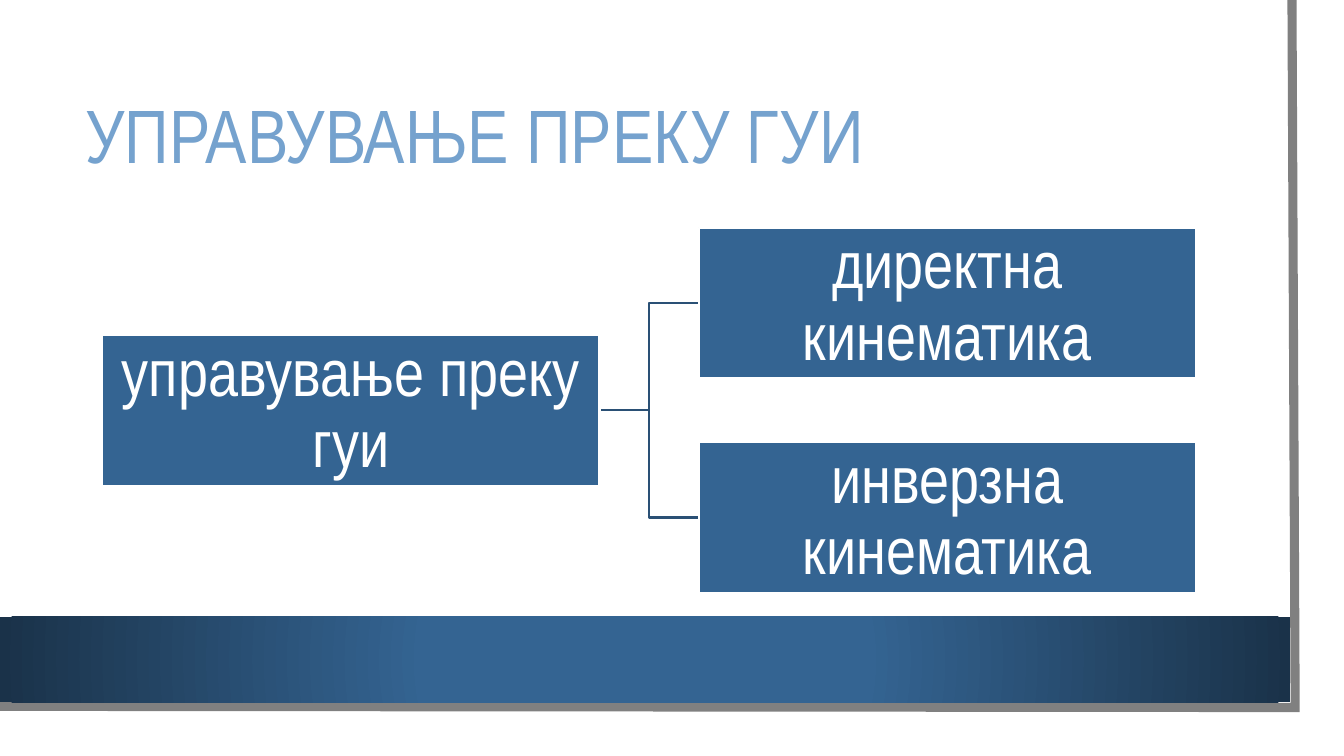
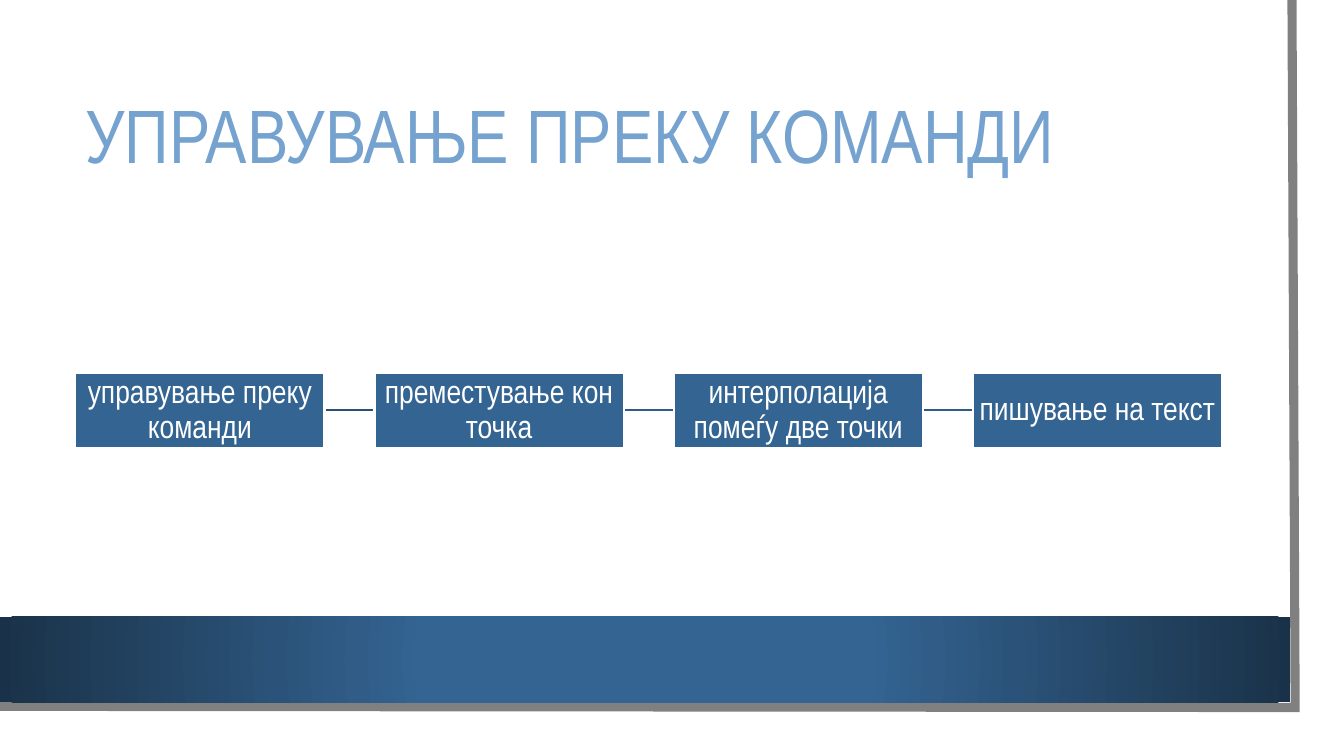
from dataclasses import dataclass

from lxml import etree
from pptx import Presentation
from pptx import util as u
from pptx.dml import color
from pptx.enum import shapes, text
from pptx.oxml import ns

FONT = "Arial Narrow"
HUES = {
    "title": "75A2CE",
    "box": "346492",
    "dark": "1A3249",
    "edge": "808080",
    "white": "FFFFFF",
    "link": "2A5075",
    "soft": "2F5B85",
}
MID = 10.34


@dataclass(frozen=True)
class Size:
    width: float
    height: float
    font: int
    inset: float


@dataclass(frozen=True)
class Box:
    label: str
    left: float
    mid: float


@dataclass(frozen=True)
class Link:
    start: Box
    end: Box
    hue: str


BIG = Size(12.53, 3.8, 47, 0.08)
SMALL = Size(6.28, 1.9, 23, 0.05)


def rgb(name: str) -> color.RGBColor:
    return color.RGBColor.from_string(HUES[name])


def style(frame, size: int, hue: str, align) -> None:
    frame.word_wrap = True
    frame.auto_size = text.MSO_AUTO_SIZE.NONE
    frame.vertical_anchor = text.MSO_ANCHOR.MIDDLE
    for para in frame.paragraphs:
        para.alignment = align
        para.line_spacing = 0.9
        for run in para.runs:
            run.font.name = FONT
            run.font.size = u.Pt(size)
            run.font.color.rgb = rgb(hue)


def add_frame(slide, layout) -> None:
    pen = slide.shapes.build_freeform(u.Cm(32.56), 0)
    pen.add_line_segments(
        [(u.Cm(32.64), u.Cm(17.83)), (u.Cm(-0.08), u.Cm(17.8))], close=False
    )
    edge = pen.convert_to_shape()
    edge.fill.background()
    edge.line.color.rgb = rgb("edge")
    edge.line.width = u.Pt(6.5)
    line = edge.element.spPr.find(ns.qn("a:ln"))
    etree.SubElement(line, ns.qn("a:miter"), lim="800000")

    band = slide.shapes.add_shape(
        shapes.MSO_SHAPE.RECTANGLE, 0, u.Cm(15.54), u.Cm(32.51), u.Cm(2.16)
    )
    band.line.fill.background()
    band.fill.gradient()
    for stop, hue, place in zip(band.fill.gradient_stops, ("box", "dark"), (0.34, 1)):
        stop.color.rgb = rgb(hue)
        stop.position = place
    grad = band.element.spPr.find(ns.qn("a:gradFill"))
    grad.remove(grad.find(ns.qn("a:lin")))
    glow = etree.SubElement(grad, ns.qn("a:path"), path="circle")
    sides = dict.fromkeys("ltrb", "50000")
    etree.SubElement(glow, ns.qn("a:fillToRect"), **sides)

    for spot, part in enumerate((edge, band), 2):
        part.shadow.inherit = False
        layout.shapes.element.insert(spot, part.element)


def add_title(slide, words: str) -> None:
    title = slide.shapes.title
    title.left, title.top = u.Cm(1.9), u.Cm(1.9)
    title.width, title.height = u.Cm(28.88), u.Cm(3.2)
    title.text_frame.text = words
    style(title.text_frame, 54, "title", text.PP_ALIGN.LEFT)


def add_link(slide, link: Link, size: Size) -> None:
    flat = link.start.mid == link.end.mid
    kind = shapes.MSO_CONNECTOR.STRAIGHT if flat else shapes.MSO_CONNECTOR.ELBOW
    line = slide.shapes.add_connector(
        kind,
        u.Cm(link.start.left + size.width),
        u.Cm(link.start.mid),
        u.Cm(link.end.left),
        u.Cm(link.end.mid),
    )
    line.line.color.rgb = rgb(link.hue)
    line.line.width = u.Pt(1.5)
    etree.SubElement(line.element.spPr, ns.qn("a:effectLst"))


def add_box(slide, box: Box, size: Size) -> None:
    rect = slide.shapes.add_shape(
        shapes.MSO_SHAPE.RECTANGLE,
        u.Cm(box.left),
        u.Cm(box.mid - size.height / 2),
        u.Cm(size.width),
        u.Cm(size.height),
    )
    rect.shadow.inherit = False
    rect.fill.solid()
    rect.fill.fore_color.rgb = rgb("box")
    rect.line.color.rgb = rgb("white")
    rect.line.width = u.Pt(1.5)
    frame = rect.text_frame
    frame.margin_left = frame.margin_right = u.Cm(size.inset)
    frame.margin_top = frame.margin_bottom = u.Cm(size.inset)
    frame.text = box.label
    style(frame, size.font, "white", text.PP_ALIGN.CENTER)


def add_chart(slide, boxes: list[Box], links: list[Link], size: Size) -> None:
    for link in links:
        add_link(slide, link, size)
    for box in boxes:
        add_box(slide, box, size)


def main() -> None:
    deck = Presentation()
    deck.slide_width, deck.slide_height = u.Cm(33.87), u.Cm(19.05)
    layout = deck.slide_layouts[5]

    first = deck.slides.add_slide(layout)
    add_frame(first, layout)
    add_title(first, "УПРАВУВАЊЕ ПРЕКУ ГУИ")
    root = Box("управување преку гуи", 2.58, MID)
    kids = [
        Box("директна кинематика", 17.61, MID - 2.7),
        Box("инверзна кинематика", 17.61, MID + 2.7),
    ]
    add_chart(first, [root, *kids], [Link(root, kid, "link") for kid in kids], BIG)

    second = deck.slides.add_slide(layout)
    add_title(second, "УПРАВУВАЊЕ ПРЕКУ КОМАНДИ")
    labels = (
        "управување преку команди",
        "преместување кон точка",
        "интерполација помеѓу две точки",
        "пишување на текст",
    )
    row = [Box(label, 1.9 + 7.54 * i, MID) for i, label in enumerate(labels)]
    hues = ("link", "soft", "soft")
    add_chart(second, row, [Link(*trio) for trio in zip(row, row[1:], hues)], SMALL)

    deck.save("out.pptx")


if __name__ == "__main__":
    main()
